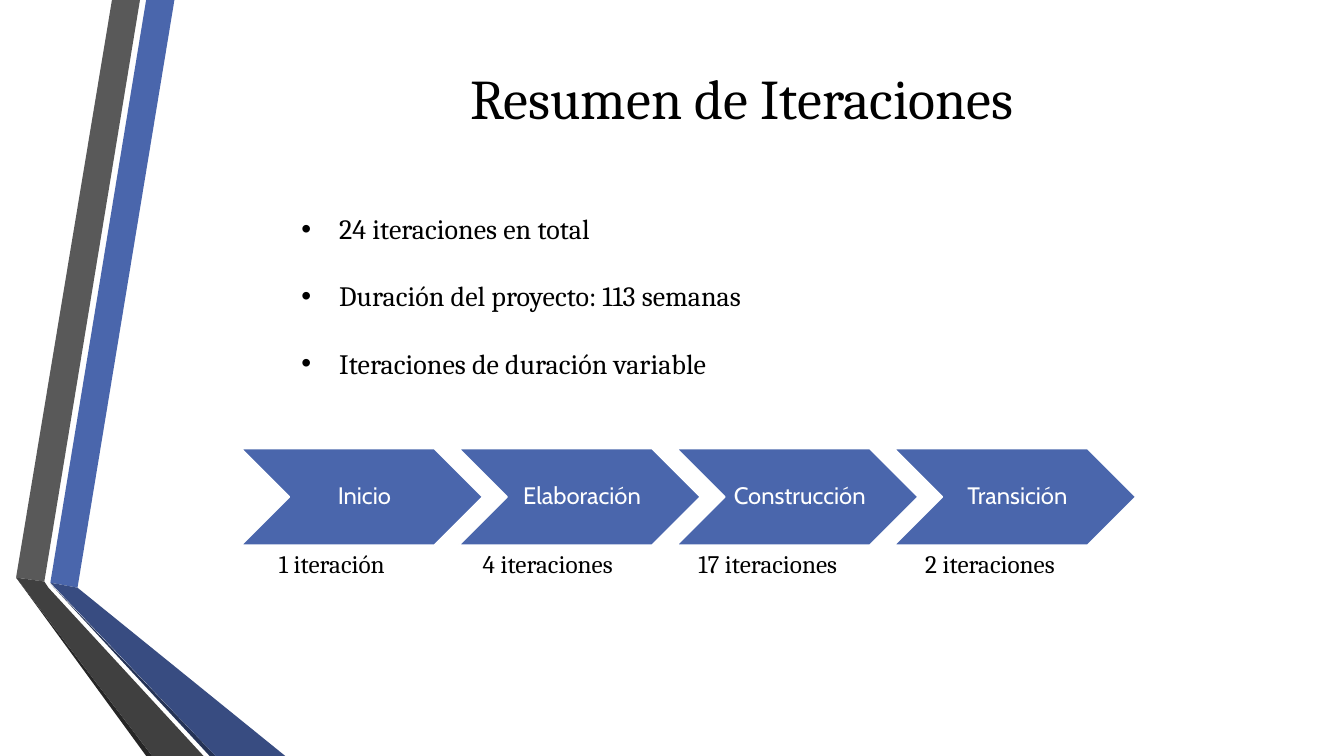
from lxml import etree
from pptx import Presentation
from pptx.dml.color import RGBColor
from pptx.enum.shapes import MSO_SHAPE
from pptx.enum.text import MSO_ANCHOR, MSO_AUTO_SIZE, PP_ALIGN
from pptx.oxml.ns import qn
from pptx.util import Pt

CHEVRON = MSO_SHAPE.CHEVRON
LEFT, CENTER = PP_ALIGN.LEFT, PP_ALIGN.CENTER
TOP, MIDDLE = MSO_ANCHOR.TOP, MSO_ANCHOR.MIDDLE
NO_FIT = MSO_AUTO_SIZE.NONE

COLORS = {
    "blue": "4A66AC", "deep_blue": "384C81", "navy": "253356",
    "gray": "595959", "charcoal": "404040", "black_gray": "262626",
    "white": "FFFFFF", "black": "000000",
}

TITLE = "Resumen de Iteraciones"
SUMMARY = [
    "24 iteraciones en total",
    "Duración del proyecto: 113 semanas",
    "Iteraciones de duración variable",
]
PHASES = [
    ("Inicio", "1 iteración", 192.2),
    ("Elaboración", "4 iteraciones", 337.7),
    ("Construcción", "17 iteraciones", 491.8),
    ("Transición", "2 iteraciones", 653.8),
]
RIBBONS = [
    ("blue", [(36, 416.2), (55.4, 419.8), (124.6, 0), (104.4, 0)]),
    ("gray", [(100, 0), (80, 0), (11.5, 412.6), (31.7, 415.4)]),
    ("black_gray", [(11.5, 412.6), (104.4, 540), (108.7, 540)]),
    ("navy", [(36, 416.9), (149.8, 540), (154.1, 540)]),
    ("deep_blue", [(36, 416.2), (154.1, 540), (203.8, 540), (55.4, 419.8)]),
    ("charcoal", [(145.4, 540), (34.6, 419.8), (31.7, 415.4), (11.5, 412.6), (108.7, 540)]),
]

SLIDE_SIZE = (960, 540)
TITLE_BOX = (100, 0, 860, 138.2)
SUMMARY_BOX = (208.1, 147.6, 571, 152.6)
CHEVRON_LEFT, CHEVRON_TOP, CHEVRON_PITCH = 172.1, 320.4, 155.5
CHEVRON_SIZE = (172.8, 69.1)
LABEL_TOP, LABEL_SIZE = 388.1, (125.3, 29)
BULLET_INDENT = 27


def color(name):
    return RGBColor.from_string(COLORS[name])


def place(shape, box):
    shape.left, shape.top, shape.width, shape.height = [Pt(value) for value in box]


def paint(shape, fill, line=None):
    shape.shadow.inherit = False
    shape.fill.solid()
    shape.fill.fore_color.rgb = color(fill)
    if line:
        shape.line.color.rgb = color(line)
        shape.line.width = Pt(1.25)
    else:
        shape.line.fill.background()


def write(shape, lines, size, font="Cambria", ink="black", align=LEFT, anchor=TOP,
          insets=(7.2, 3.6, 7.2, 3.6), spacing=1.0, gap=0, bullet=None):
    frame = shape.text_frame
    frame.word_wrap = True
    frame.auto_size = NO_FIT
    frame.vertical_anchor = anchor
    (frame.margin_left, frame.margin_top,
     frame.margin_right, frame.margin_bottom) = [Pt(value) for value in insets]
    for index, line in enumerate(lines):
        paragraph = frame.add_paragraph() if index else frame.paragraphs[0]
        paragraph.alignment = align
        paragraph.line_spacing = spacing
        paragraph.space_before = Pt(gap if index else 0)
        paragraph.space_after = Pt(0)
        run = paragraph.add_run()
        run.text = line
        run.font.name = font
        run.font.size = Pt(size)
        run.font.color.rgb = color(ink)
        if bullet:
            properties = paragraph._p.get_or_add_pPr()
            properties.set("marL", str(Pt(BULLET_INDENT)))
            properties.set("indent", str(-Pt(BULLET_INDENT)))
            etree.SubElement(properties, qn("a:buFont")).set("typeface", "Arial")
            etree.SubElement(properties, qn("a:buChar")).set("char", bullet)


def add_ribbon(slide, fill, points):
    corners = [(Pt(x), Pt(y)) for x, y in points]
    builder = slide.shapes.build_freeform(*corners[0])
    builder.add_line_segments(corners[1:], close=True)
    paint(builder.convert_to_shape(), fill)


def add_phase(slide, index, name, count, label_left):
    left = CHEVRON_LEFT + index * CHEVRON_PITCH
    chevron = slide.shapes.add_shape(CHEVRON, 0, 0, 0, 0)
    place(chevron, (left, CHEVRON_TOP, *CHEVRON_SIZE))
    paint(chevron, "blue", "white")
    write(chevron, [name], 17, font="Cabin", ink="white", align=CENTER, anchor=MIDDLE,
          insets=(5, 1.4, 1.4, 1.4), spacing=0.9)
    label = slide.shapes.add_textbox(0, 0, 0, 0)
    place(label, (label_left, LABEL_TOP, *LABEL_SIZE))
    write(label, [count], 18)


def main():
    presentation = Presentation()
    presentation.slide_width, presentation.slide_height = [Pt(value) for value in SLIDE_SIZE]
    slide = presentation.slides.add_slide(presentation.slide_layouts[1])
    for fill, points in RIBBONS:
        add_ribbon(slide, fill, points)

    title, summary = slide.shapes.title, slide.placeholders[1]
    place(title, TITLE_BOX)
    write(title, [TITLE], 40, align=CENTER, anchor=MIDDLE)
    place(summary, SUMMARY_BOX)
    write(summary, SUMMARY, 20, gap=24, bullet="•")

    for index, phase in enumerate(PHASES):
        add_phase(slide, index, *phase)
    presentation.save("out.pptx")


if __name__ == "__main__":
    main()
